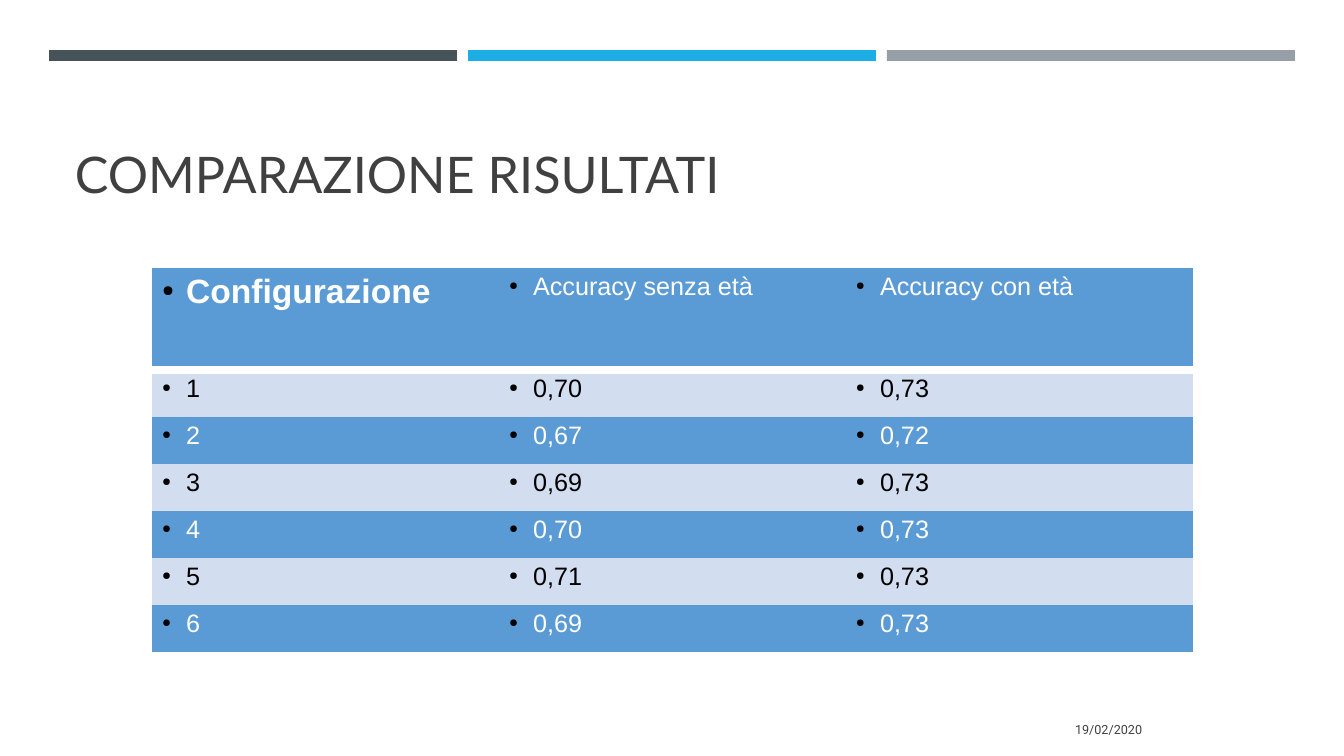
from lxml import etree
from pptx import Presentation
from pptx import util as u
from pptx.dml.color import RGBColor
from pptx.enum import shapes, text
from pptx.oxml import ns

PX = 914400 / 100.8  # EMU per px
SLATE = RGBColor(0x46, 0x53, 0x59)
CYAN = RGBColor(0x1C, 0xAD, 0xE4)
GREY = RGBColor(0x96, 0x9F, 0xA7)
DARK = RGBColor(0x40, 0x40, 0x40)
BLUE = RGBColor(0x5B, 0x9B, 0xD5)
PALE = RGBColor(0xD2, 0xDE, 0xEF)
WHITE = RGBColor(0xFF, 0xFF, 0xFF)
BLACK = RGBColor(0, 0, 0)
PLAIN_STYLE = "{2D5ABB26-0587-4C30-8999-92F81FD0307C}"

HEADER = ["Configurazione", "Accuracy senza età", "Accuracy con età"]
RESULTS = [
    ["1", "0,70", "0,73"],
    ["2", "0,67", "0,72"],
    ["3", "0,69", "0,73"],
    ["4", "0,70", "0,73"],
    ["5", "0,71", "0,73"],
    ["6", "0,69", "0,73"],
]


def px(n):
    return u.Emu(round(n * PX))


def box(*lengths):
    return [px(n) for n in lengths]


def set_font(p, name, size, color, bold=False):
    f = p.font
    f.name, f.size, f.bold = name, u.Pt(size), bold
    f.color.rgb = color


def add_bar(s, left, color):
    sp = s.shapes.add_shape(shapes.MSO_SHAPE.RECTANGLE, *box(left, 50, 408, 11))
    sp.shadow.inherit = False
    sp.fill.solid()
    sp.fill.fore_color.rgb = color
    sp.line.fill.background()


def add_text(s, words, frame, font, size, anchor, align):
    tf = s.shapes.add_textbox(*box(*frame)).text_frame
    tf.word_wrap = True
    tf.vertical_anchor = anchor
    p = tf.paragraphs[0]
    p.text = words
    p.alignment = align
    set_font(p, font, size, DARK)


def add_xml(parent, tag, **attrs):
    return etree.SubElement(parent, ns.qn(tag), attrs)


def add_bullet(p):
    pPr = p._p.get_or_add_pPr()
    pPr.set("marL", str(px(24)))
    pPr.set("indent", str(px(-24)))
    add_xml(add_xml(pPr, "a:buClr"), "a:srgbClr", val=str(BLACK))
    add_xml(pPr, "a:buSzPct", val="45000")
    add_xml(pPr, "a:buChar", char="●")


def add_bottom_border(cell, color, width):
    ln = add_xml(cell._tc.get_or_add_tcPr(), "a:lnB", w=str(u.Pt(width)))
    add_xml(add_xml(ln, "a:solidFill"), "a:srgbClr", val=str(color))


def fill_cell(cell, words, fill, color, size=18, bold=False, header=False):
    if header:
        add_bottom_border(cell, WHITE, 6)
    cell.fill.solid()
    cell.fill.fore_color.rgb = fill
    p = cell.text_frame.paragraphs[0]
    p.text = words
    add_bullet(p)
    set_font(p, "Arial", size, color, bold)


def add_results(s):
    rows = [HEADER] + RESULTS
    frame = s.shapes.add_table(len(rows), len(HEADER), *box(152, 268, 1041, 384))
    table = frame.table
    table.first_row = table.horz_banding = False
    table._tbl.tblPr.find(ns.qn("a:tableStyleId")).text = PLAIN_STYLE
    for column in table.columns:
        column.width = px(347)
    for i, values in enumerate(rows):
        table.rows[i].height = px(47 if i else 102)
        fill, color = (PALE, BLACK) if i % 2 else (BLUE, WHITE)
        for j, words in enumerate(values):
            lead = i == j == 0
            fill_cell(table.cell(i, j), words, fill, color,
                      size=24 if lead else 18, bold=lead, header=i == 0)


def main():
    prs = Presentation()
    prs.slide_width, prs.slide_height = box(1344, 756)
    s = prs.slides.add_slide(prs.slide_layouts[6])

    # Top bars
    for i, color in enumerate([SLATE, CYAN, GREY]):
        add_bar(s, 49 + 419 * i, color)

    # Title and date
    add_text(s, "COMPARAZIONE RISULTATI", (65, 78, 1215, 131), "Lato", 36,
             text.MSO_ANCHOR.BOTTOM, text.PP_ALIGN.LEFT)
    add_text(s, "19/02/2020", (839, 709, 313, 40), "Roboto", 9,
             text.MSO_ANCHOR.MIDDLE, text.PP_ALIGN.RIGHT)

    # Results table
    add_results(s)
    prs.save("out.pptx")


if __name__ == "__main__":
    main()
